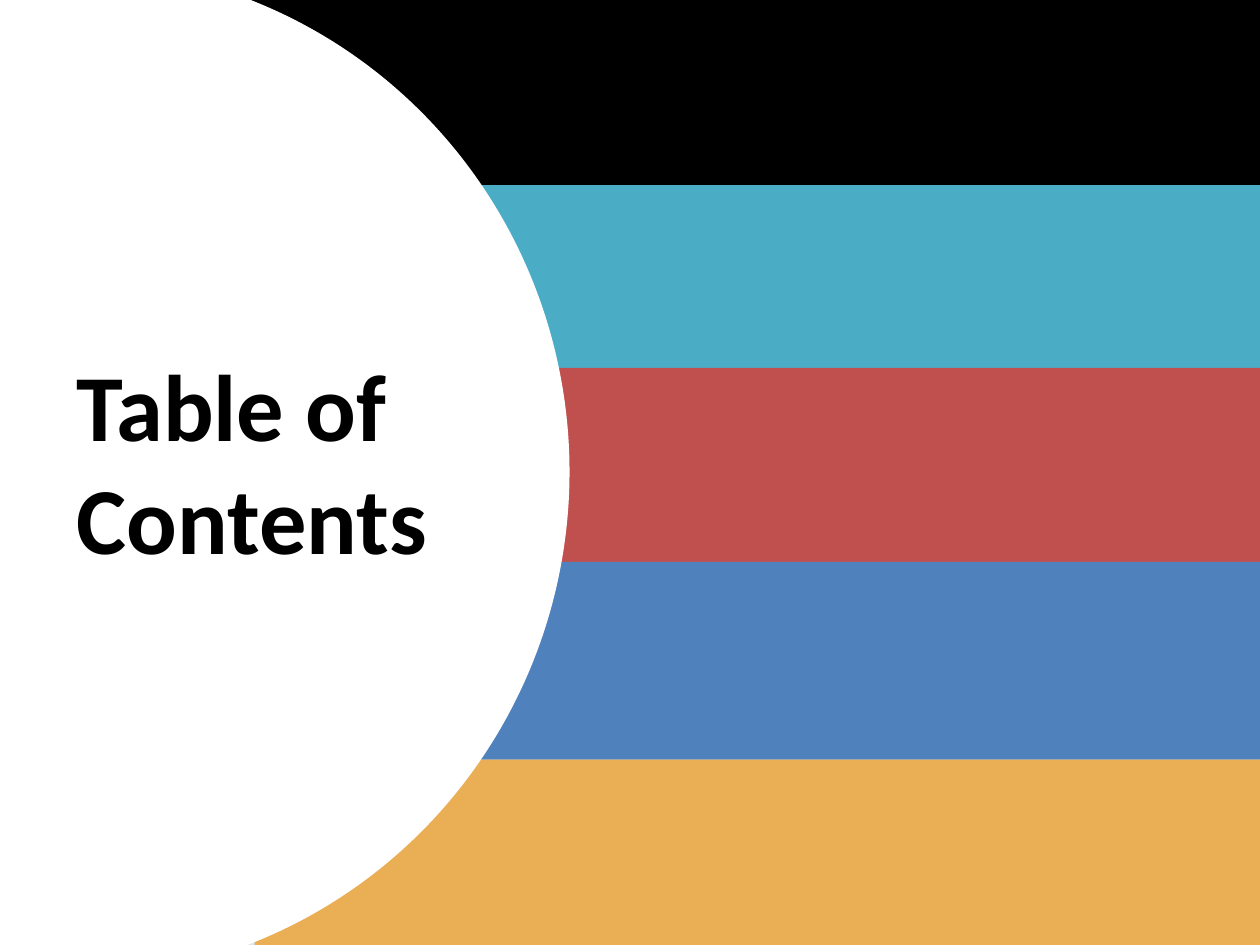
"""Build a table of contents divider with five colour bands and a round title panel."""
from dataclasses import dataclass

from pptx import Presentation
from pptx import util as u
from pptx.dml.color import RGBColor
from pptx.enum import shapes, text

WIDTH, HEIGHT = 10, 7.5
COLOURS = {
    "background": "DCE6F2",
    "black": "000000",
    "teal": "4BACC6",
    "red": "C0504D",
    "blue": "4F81BD",
    "amber": "EAAE54",
    "panel": "FFFFFF",
}


@dataclass(frozen=True)
class Band:
    colour: str
    left: float
    top: float


BANDS = [
    Band("black", 1.85, 0),
    Band("teal", 1.85, 1.47),
    Band("red", 2.02, 2.92),
    Band("blue", 2.02, 4.46),
    Band("amber", 2.02, 6.03),
]


def add_plain(slide, kind, colour: str, left: float, top: float, width: float, height: float) -> None:
    plain = slide.shapes.add_shape(kind, *map(u.Inches, (left, top, width, height)))
    plain.shadow.inherit = False
    plain.fill.solid()
    plain.fill.fore_color.rgb = RGBColor.from_string(COLOURS[colour])
    plain.line.fill.background()


def apply_format(target, values: dict) -> None:
    for attribute, value in values.items():
        setattr(target, attribute, value)


def write_heading(slide, wording: str) -> None:
    heading = slide.shapes.title
    apply_format(heading, {
        "left": u.Inches(0.51), "top": u.Inches(2.7),
        "width": u.Inches(2.99), "height": u.Inches(1.92),
    })
    apply_format(heading.text_frame, {
        "text": wording, "word_wrap": True,
        "auto_size": text.MSO_AUTO_SIZE.SHAPE_TO_FIT_TEXT,
        "vertical_anchor": text.MSO_ANCHOR.TOP,
    })
    paragraph = heading.text_frame.paragraphs[0]
    paragraph.alignment = text.PP_ALIGN.LEFT
    font = paragraph.runs[0].font
    apply_format(font, {"name": "Calibri", "size": u.Pt(54), "bold": True})
    font.color.rgb = RGBColor.from_string(COLOURS["black"])
    slide.shapes.element.append(heading.element)


deck = Presentation()
apply_format(deck, {"slide_width": u.Inches(WIDTH), "slide_height": u.Inches(HEIGHT)})
contents = deck.slides.add_slide(deck.slide_layouts[5])
contents.background.fill.solid()
contents.background.fill.fore_color.rgb = RGBColor.from_string(COLOURS["background"])

bottoms = [band.top for band in BANDS[1:]] + [HEIGHT]
for band, bottom in zip(BANDS, bottoms):
    add_plain(contents, shapes.MSO_SHAPE.RECTANGLE, band.colour,
              band.left, band.top, WIDTH - band.left, bottom - band.top)
add_plain(contents, shapes.MSO_SHAPE.OVAL, "panel", -3.4, -0.27, 7.92, 8.03)
write_heading(contents, "Table of Contents")
deck.save("out.pptx")
